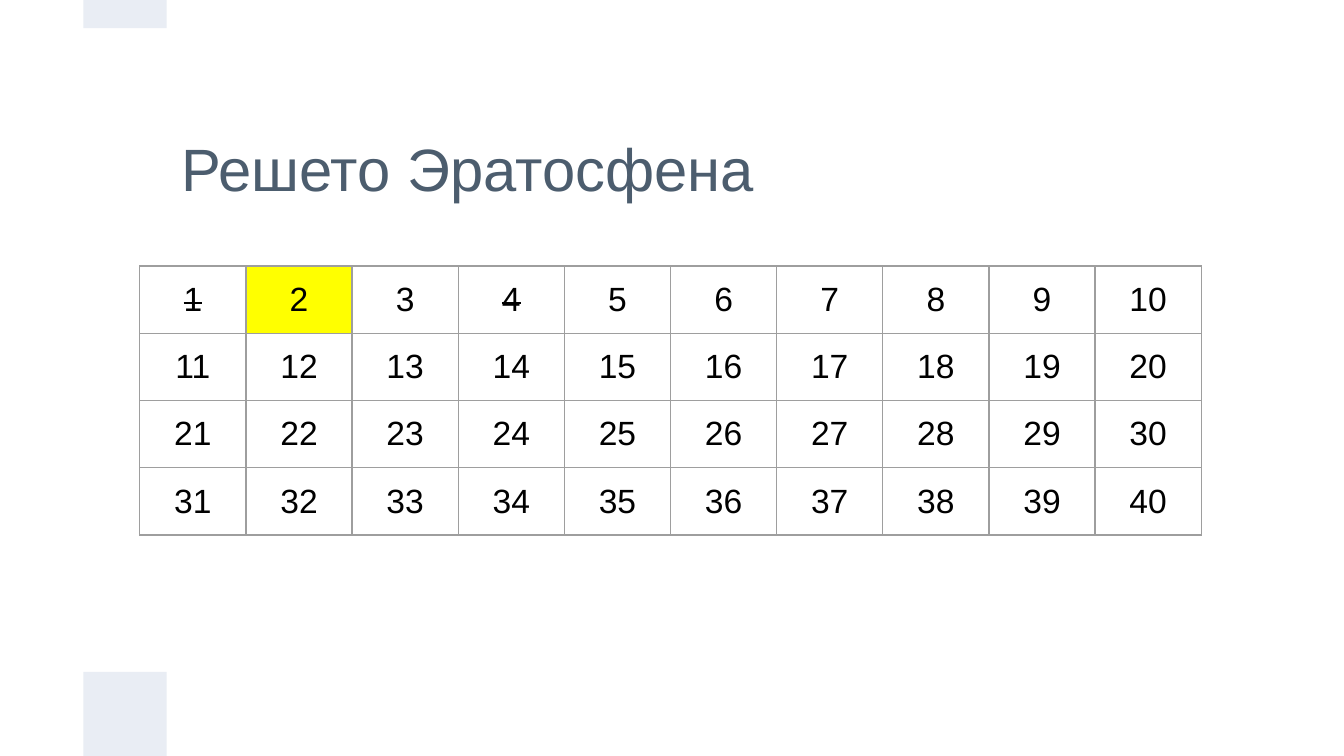
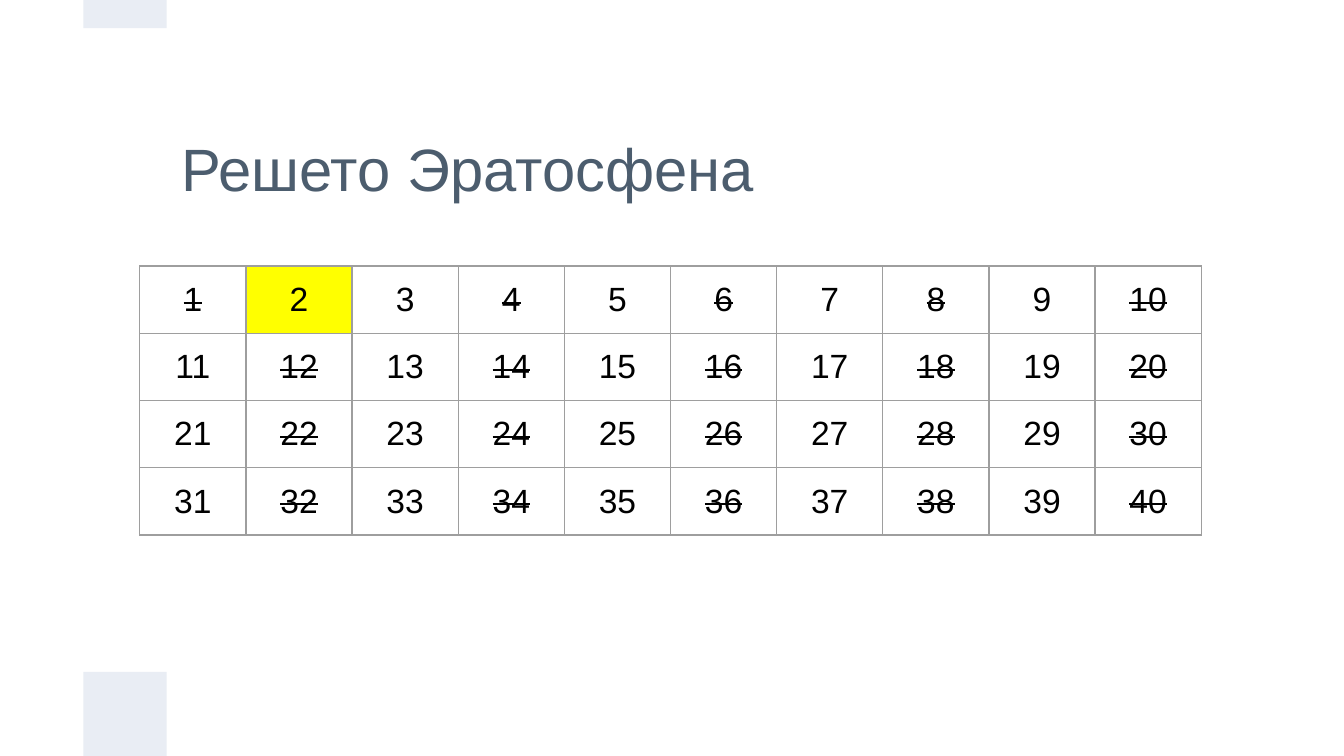
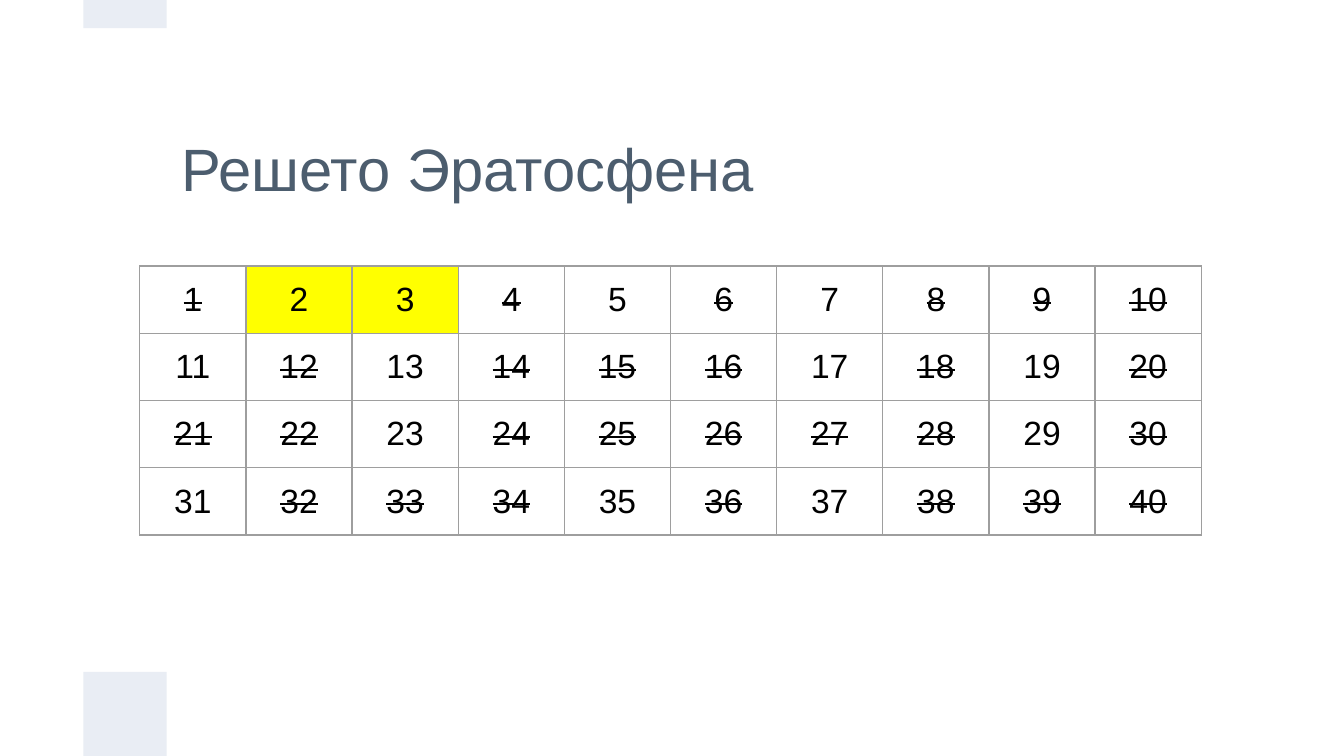
"""Build three steps of the sieve of Eratosthenes as slides."""
import dataclasses

import lxml.etree
import pptx
import pptx.dml.color
import pptx.enum.shapes
import pptx.enum.text
import pptx.oxml.ns
import pptx.util

Inches = pptx.util.Inches
Pt = pptx.util.Pt
RGB = pptx.dml.color.RGBColor.from_string
qn = pptx.oxml.ns.qn


@dataclasses.dataclass(frozen=True)
class Theme:
    """Colours, font and sizes shared by all slides."""
    font: str = "Arial"
    background: str = "FFFFFF"
    band: str = "E9EDF4"
    title: str = "4C5D6E"
    text: str = "000000"
    prime: str = "FFFF00"
    grid: str = "9E9E9E"
    title_size: int = 32
    number_size: int = 18
    grid_width: float = 0.75
    inset: float = 0.1


THEME = Theme()
TITLE = "Решето Эратосфена"
COLUMNS, ROWS = 10, 4
COLUMN_WIDTH, ROW_HEIGHT = 0.79, 0.42
NUMBERS = range(1, COLUMNS * ROWS + 1)


def multiples(prime):
    """Return the numbers crossed out by a prime."""
    return {n for n in NUMBERS if n > prime and n % prime == 0}


def style_paragraph(p, size, color):
    """Apply the theme font to a paragraph."""
    p.font.name = THEME.font
    p.font.size = Pt(size)
    p.font.color.rgb = RGB(color)


def set_insets(item):
    """Give a text frame or table cell equal margins."""
    item.margin_left = item.margin_right = Inches(THEME.inset)
    item.margin_top = item.margin_bottom = Inches(THEME.inset)
    item.vertical_anchor = pptx.enum.text.MSO_ANCHOR.MIDDLE


def add_bands(slide, left, width, spans):
    """Draw the pale bands, one for each (top, height) span."""
    for top, height in spans:
        s = slide.shapes.add_shape(
            pptx.enum.shapes.MSO_SHAPE.RECTANGLE,
            Inches(left), Inches(top), Inches(width), Inches(height))
        s.shadow.inherit = False
        s.fill.solid()
        s.fill.fore_color.rgb = RGB(THEME.band)
        s.line.fill.background()


def add_title(slide, left, top, width, height):
    """Write the slide title in its box."""
    tf = slide.shapes.add_textbox(
        Inches(left), Inches(top), Inches(width), Inches(height)).text_frame
    tf.word_wrap = True
    set_insets(tf)
    p = tf.paragraphs[0]
    p.text = TITLE
    style_paragraph(p, THEME.title_size, THEME.title)


def add_borders(cell):
    """Draw the grid lines on all sides of a cell."""
    tc_pr = cell._tc.get_or_add_tcPr()
    for i, side in enumerate(("a:lnL", "a:lnR", "a:lnT", "a:lnB")):
        ln = lxml.etree.Element(qn(side), w=str(Pt(THEME.grid_width)))
        fill = lxml.etree.SubElement(ln, qn("a:solidFill"))
        lxml.etree.SubElement(fill, qn("a:srgbClr"), val=THEME.grid)
        tc_pr.insert(i, ln)


def fill_cell(cell, number, is_prime, is_crossed):
    """Write one number, highlighted or crossed out as needed."""
    set_insets(cell)
    p = cell.text_frame.paragraphs[0]
    p.alignment = pptx.enum.text.PP_ALIGN.CENTER
    style_paragraph(p, THEME.number_size, THEME.text)
    r = p.add_run()
    r.text = str(number)
    if is_crossed:
        r.font._element.set("strike", "sngStrike")
    if is_prime:
        cell.fill.solid()
        cell.fill.fore_color.rgb = RGB(THEME.prime)
    else:
        cell.fill.background()
    add_borders(cell)


def add_sieve(slide, left, top, primes, crossed):
    """Place the number table with its top left corner at a point."""
    table = slide.shapes.add_table(
        ROWS, COLUMNS, Inches(left), Inches(top),
        Inches(COLUMN_WIDTH * COLUMNS), Inches(ROW_HEIGHT * ROWS)).table
    table.first_row = table.horz_banding = False
    for column in table.columns:
        column.width = Inches(COLUMN_WIDTH)
    for row in table.rows:
        row.height = Inches(ROW_HEIGHT)
    for number in NUMBERS:
        row, column = divmod(number - 1, COLUMNS)
        fill_cell(table.cell(row, column), number, number in primes, number in crossed)


def add_sieve_slide(prs, primes, crossed):
    """Add one step of the sieve."""
    slide = prs.slides.add_slide(prs.slide_layouts[6])
    slide.background.fill.solid()
    slide.background.fill.fore_color.rgb = RGB(THEME.background)
    add_bands(slide, 0.62, 0.62, [(5, 0.63), (0, 0.21)])
    add_title(slide, 1.25, 0.62, 7.5, 1.25)
    add_sieve(slide, 1.04, 1.98, primes, crossed)


def main():
    """Build and save the presentation."""
    prs = pptx.Presentation()
    prs.slide_width = Inches(10)
    prs.slide_height = prs.slide_width * 9 // 16
    steps = [
        ({2}, {1, 4}),
        ({2}, {1} | multiples(2)),
        ({2, 3}, {1, 25} | multiples(2) | multiples(3)),
    ]
    for primes, crossed in steps:
        add_sieve_slide(prs, primes, crossed)
    prs.save("out.pptx")


if __name__ == "__main__":
    main()
